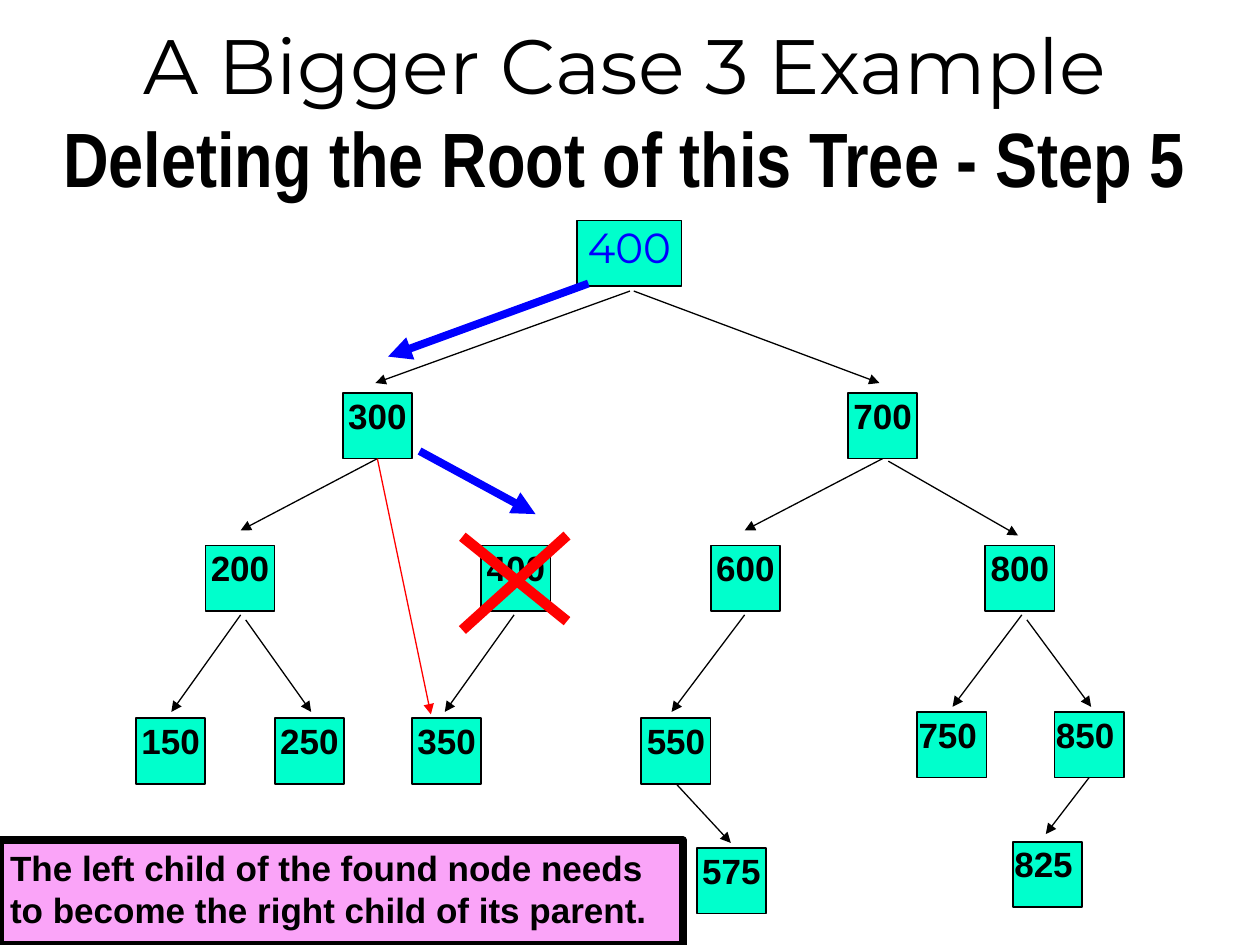
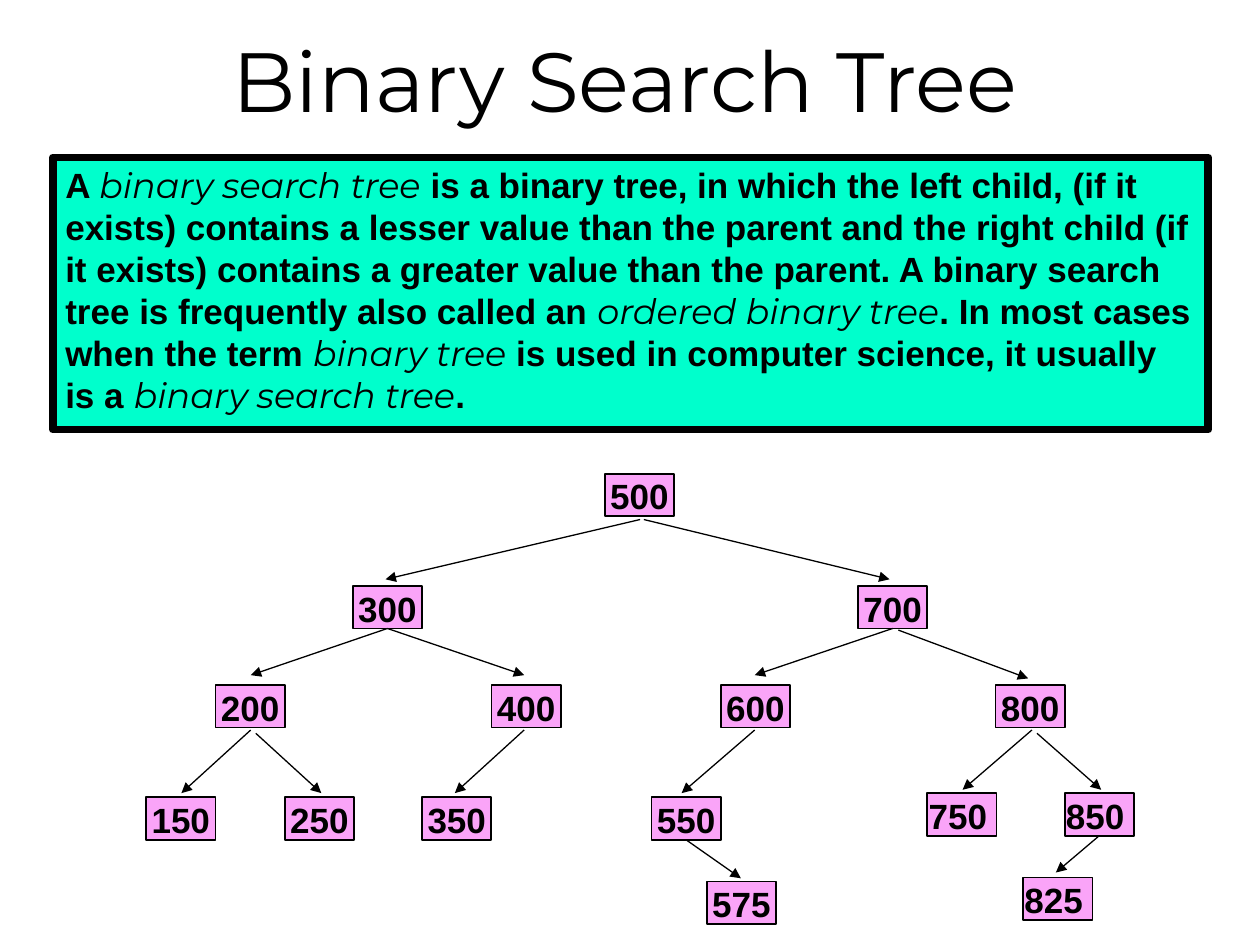
from math import hypot
from lxml.etree import SubElement as Sub
from pptx import Presentation
from pptx.dml.color import RGBColor
from pptx.enum.shapes import MSO_CONNECTOR as Conn, MSO_SHAPE as Form
from pptx.enum.text import MSO_ANCHOR as Anchor, PP_ALIGN as Align
from pptx.oxml.ns import qn
from pptx.util import Inches, Pt

BLACK, BLUE, RED = "000000", "0000FF", "FF0000"
MINT, PINK = "00FFCC", "FAA4F8"
HEAD, BODY, SLIM = "Montserrat", "Arial", "Arial Narrow"

WIDE, HIGH = 0.55, 0.52
TOP = 3.12
ROOT = (4.58, 1.75, 0.83, HIGH)
NODES = {
    500: (4.72, 1.75),
    300: (2.72, 3.12), 700: (6.73, 3.12),
    200: (1.63, 4.33), 400: (3.82, 4.33), 600: (5.64, 4.33), 800: (7.82, 4.33),
    150: (1.08, 5.7), 250: (2.18, 5.7), 350: (3.27, 5.7), 550: (5.09, 5.7),
    575: (5.53, 6.73),
    750: (7.28, 5.65), 850: (8.37, 5.65), 825: (8.04, 6.68),
}
LEFT = {750, 850, 825}
EDGES = [
    (500, 5, 2.31, 2.98, 3.04), (500, 5.03, 2.31, 6.98, 3.04),
    (300, 2.98, 3.66, 1.91, 4.21),
    (700, 7.01, 3.66, 5.91, 4.21), (700, 7.05, 3.66, 8.08, 4.25),
    (200, 1.91, 4.88, 1.36, 5.65), (200, 1.95, 4.92, 2.47, 5.65),
    (400, 4.08, 4.88, 3.53, 5.65), (600, 5.91, 4.88, 5.33, 5.65),
    (800, 8.11, 4.88, 7.56, 5.61), (800, 8.15, 4.92, 8.66, 5.61),
    (550, 5.36, 6.2, 5.8, 6.69), (850, 8.66, 6.17, 8.3, 6.62),
]
OLD = (300, 2.98, 3.66, 4.08, 4.21)
NEW = (300, 2.98, 3.66, 3.42, 5.67)
STEPS = [(4.67, 2.25, 3.08, 2.83), (3.33, 3.58, 4.25, 4.08)]
CROSS = [(3.67, 4.26, 4.5, 4.93), (4.5, 4.25, 3.67, 5)]

STEP = [("A Bigger Case 3 Example\v", HEAD), ("Deleting the Root of this Tree - Step 5", SLIM)]
NOTE = ["The left child of the found node needs to become the right child of its parent."]
TERMS = [
    "A ", "binary search tree",
    " is a binary tree, in which the left child, (if it exists) contains a lesser value "
    "than the parent and the right child (if it exists) contains a greater value than "
    "the parent. A binary search tree is frequently also called an ",
    "ordered binary tree", ". In most cases when the term ", "binary tree",
    " is used in computer science, it usually is a ", "binary search tree", ".",
]


def color(code):
    return RGBColor.from_string(code)


def style(run, face, size, bold=False, slant=False, ink=BLACK):
    font = run.font
    font.name, font.size, font.bold, font.italic = face, Pt(size), bold, slant
    font.color.rgb = color(ink)


def pad(frame, left, top, right, low):
    frame.margin_left, frame.margin_top = Inches(left), Inches(top)
    frame.margin_right, frame.margin_bottom = Inches(right), Inches(low)
    frame.word_wrap = True


def title(slide, parts, high, size):
    frame = slide.shapes.add_textbox(0, 0, Inches(9.92), Inches(high)).text_frame
    pad(frame, 0.1, 0.05, 0.1, 0.05)
    frame.vertical_anchor = Anchor.MIDDLE
    para = frame.paragraphs[0]
    para.text = "".join(text for text, face in parts)
    para.alignment = Align.CENTER
    for run, (text, face) in zip(para.runs, parts):
        style(run, face, size, face == SLIM)


def box(shapes, spot, fill, width):
    rect = shapes.add_shape(Form.RECTANGLE, *map(Inches, spot))
    rect.shadow.inherit = False
    rect.fill.solid()
    rect.fill.fore_color.rgb = color(fill)
    rect.line.color.rgb = color(BLACK)
    rect.line.width = Pt(width)
    rect.text_frame.vertical_anchor = Anchor.TOP
    return rect


def panel(slide, spot, fill, parts, left, right):
    frame = box(slide.shapes, spot, fill, 4.5).text_frame
    pad(frame, left, 0.05, right, 0.05)
    para = frame.paragraphs[0]
    para.alignment = Align.LEFT
    for i, text in enumerate(parts):
        run = para.add_run()
        run.text = text
        term = i % 2 == 1
        style(run, HEAD if term else BODY, 20, not term, term)


def node(shapes, spot, fill, text, side=Align.CENTER, face=BODY, size=20, ink=BLACK):
    rect = box(shapes, spot, fill, 1)
    frame = rect.text_frame
    pad(frame, *[0.01] * 4)
    frame.text = str(text)
    para = frame.paragraphs[0]
    para.alignment = side
    style(para.runs[0], face, size, face == BODY, ink=ink)
    return rect


def line(shapes, ends, ink=BLACK, width=0.75, arrow=True):
    link = shapes.add_connector(Conn.STRAIGHT, *map(Inches, ends))
    link.line.color.rgb = color(ink)
    link.line.width = Pt(width)
    if arrow:
        Sub(link.line._get_or_add_ln(), qn("a:tailEnd"), type="triangle")
    Sub(link._element.spPr, qn("a:effectLst"))
    return link


def tree(shapes, fill, edges, shift=0, base=TOP, scale=1, found=None):
    def fit(x, y):
        return x + shift, base + (y - TOP) * scale

    rects = {}
    for key, (x, y) in NODES.items():
        if key == 500 and found:
            rects[key] = node(shapes, ROOT, fill, found, face=HEAD, size=24, ink=BLUE)
            continue
        side = Align.LEFT if key in LEFT else Align.CENTER
        rects[key] = node(shapes, (*fit(x, y), WIDE, HIGH * scale), fill, key, side)
    for edge in edges:
        key, x1, y1, x2, y2 = edge
        link = line(shapes, (*fit(x1, y1), *fit(x2, y2)), RED if edge == NEW else BLACK)
        x, y = NODES[key]
        if hypot(x + WIDE / 2 - x1, y + HIGH - y1) < 0.03:
            link.begin_connect(rects[key], 2)


def main():
    deck = Presentation()
    deck.slide_width, deck.slide_height = Inches(10), Inches(7.5)
    blank = deck.slide_layouts[6]

    slide = deck.slides.add_slide(blank)
    title(slide, STEP, 1.75, 44)
    tree(slide.shapes, MINT, EDGES + [NEW], found=400)
    panel(slide, (0, 6.67, 5.42, 0.83), PINK, NOTE, 0.08, 0.06)
    for ends in STEPS:
        line(slide.shapes, ends, BLUE, 4.5)
    for ends in CROSS:
        line(slide.shapes, ends, RED, 6, False)

    slide = deck.slides.add_slide(blank)
    title(slide, [("Binary Search Tree", HEAD)], 1.25, 48)
    panel(slide, (0.42, 1.25, 9.17, 2.16), MINT, TERMS, 0.1, 0.1)
    group = slide.shapes.add_group_shape()
    tree(group.shapes, PINK, EDGES + [OLD], 0.08, 4.65, 0.65)

    deck.save("out.pptx")


if __name__ == "__main__":
    main()
